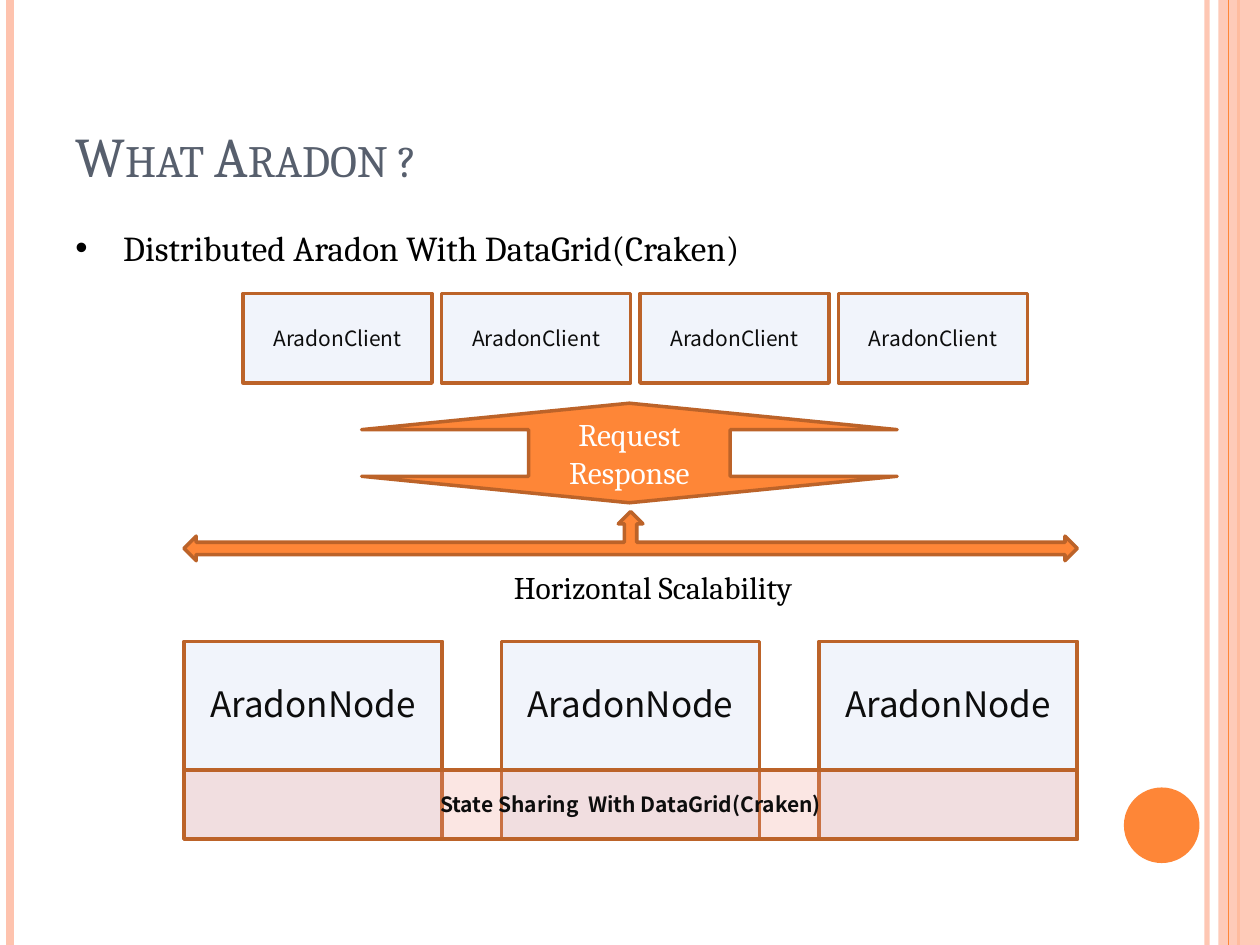
from lxml.etree import SubElement
from pptx import Presentation
from pptx.dml.color import RGBColor
from pptx.enum.shapes import MSO_CONNECTOR, MSO_SHAPE
from pptx.enum.text import MSO_ANCHOR, MSO_AUTO_SIZE, PP_ALIGN
from pptx.oxml.ns import qn
from pptx.util import Inches, Pt

ORANGE = RGBColor(0xFE, 0x86, 0x37)
PEACH = RGBColor(0xFE, 0xC3, 0xAE)
BROWN = RGBColor(0xBC, 0x63, 0x29)
PALE_BLUE = RGBColor(0xC8, 0xD6, 0xF0)
ROSE = RGBColor(0xF1, 0x9E, 0x91)
SLATE = RGBColor(0x57, 0x5F, 0x6D)
INK = RGBColor(0x0D, 0x0D, 0x0D)
BLACK = RGBColor(0, 0, 0)
WHITE = RGBColor(0xFF, 0xFF, 0xFF)

SERIF = "Cambria"
SANS = "Noto Sans CJK KR"

LEFT, SPAN = 1.46, 7.09
NODE_COUNT, NODE_WIDTH, NODE_TOP, NODE_HEIGHT = 3, 2.05, 5.09, 1.57
CLIENT_COUNT, CLIENT_LEFT, CLIENT_STEP = 4, 1.93, 1.575
SHARING_HEIGHT = 0.55
ARROW_LEFT, ARROW_TOP, ARROW_WIDTH, ARROW_HEIGHT = 2.87, 3.2, 4.25, 0.79
ARROW_HEAD, ARROW_SHAFT = 0.21, 1.6


def set_alpha(fill_parent, percent):
    color = next(fill_parent.iter(qn("a:srgbClr")))
    SubElement(color, qn("a:alpha")).set("val", str(percent * 1000))


def write_text(shape, text, name, size, color, bold=False,
               alignment=PP_ALIGN.LEFT, frame_format=None):
    frame = shape.text_frame
    values = {"word_wrap": True, "vertical_anchor": MSO_ANCHOR.TOP}
    values.update(frame_format or {})
    for attribute, value in values.items():
        setattr(frame, attribute, value)
    paragraph = frame.paragraphs[0]
    paragraph.alignment = alignment
    run = paragraph.add_run()
    run.text = text
    font_format = {"name": name, "size": Pt(size), "bold": bold}
    for attribute, value in font_format.items():
        setattr(run.font, attribute, value)
    run.font.color.rgb = color
    SubElement(run.font._element, qn("a:ea")).set("typeface", name)
    return paragraph


def add_text(slide, box, text, size, color, frame_format=None):
    shape = slide.shapes.add_textbox(*map(Inches, box))
    return write_text(shape, text, SERIF, size, color, frame_format=frame_format)


def paint(shape, fill, line=BROWN, alpha=None):
    shape.shadow.inherit = False
    shape.fill.solid()
    shape.fill.fore_color.rgb = fill
    if alpha:
        set_alpha(shape._element.spPr, alpha)
    if line is None:
        shape.line.fill.background()
    else:
        shape.line.color.rgb = line
        shape.line.width = Pt(2)


def add_block(slide, kind, box, fill, line=BROWN, alpha=None):
    shape = slide.shapes.add_shape(kind, *map(Inches, box))
    paint(shape, fill, line, alpha)
    return shape


def add_labelled_box(slide, box, text, size, fill=PALE_BLUE, bold=False, bottom=0.05):
    shape = add_block(slide, MSO_SHAPE.RECTANGLE, box, fill, alpha=25)
    frame_format = {"vertical_anchor": MSO_ANCHOR.MIDDLE, "margin_bottom": Inches(bottom)}
    write_text(shape, text, SANS, size, INK, bold, PP_ALIGN.CENTER, frame_format)


def add_stripe(slide, left, color, width, alpha=None):
    stripe = slide.shapes.add_connector(
        MSO_CONNECTOR.STRAIGHT, Inches(left), 0, Inches(left), Inches(7.5))
    stripe.line.color.rgb = color
    stripe.line.width = Pt(width)
    properties = stripe._element.spPr
    if alpha:
        set_alpha(properties, alpha)
    SubElement(properties, qn("a:effectLst"))


def add_decoration(slide):
    add_stripe(slide, 9.58, PEACH, 3, alpha=93)
    add_stripe(slide, 0.08, PEACH, 4.5)
    add_stripe(slide, 9.83, ORANGE, 1.5)
    add_block(slide, MSO_SHAPE.RECTANGLE, (9.67, 0, 0.33, 7.5), PEACH, None, alpha=87)
    add_stripe(slide, 9.75, ORANGE, 0.75)
    add_block(slide, MSO_SHAPE.OVAL, (8.92, 6.25, 0.6, 0.6), ORANGE, None)


def add_headings(slide):
    title = add_text(slide, (0.5, 0.3, 8.17, 1.25), "What Aradon ?", 32, SLATE,
                     {"vertical_anchor": MSO_ANCHOR.BOTTOM})
    title.runs[0].font._element.set("cap", "small")
    bullet = add_text(slide, (0.5, 1.75, 9, 4.95),
                      "Distributed Aradon With DataGrid(Craken)", 20, BLACK)
    bullet.space_before = Pt(4)
    properties = bullet._p.get_or_add_pPr()
    properties.set("marL", str(Inches(0.38)))
    properties.set("indent", str(Inches(-0.38)))
    SubElement(properties, qn("a:buFont")).set("typeface", "Arial")
    SubElement(properties, qn("a:buChar")).set("char", "•")


def add_nodes(slide):
    step = (SPAN - NODE_WIDTH) / (NODE_COUNT - 1)
    for index in range(NODE_COUNT):
        box = (LEFT + index * step, NODE_TOP, NODE_WIDTH, NODE_HEIGHT)
        add_labelled_box(slide, box, "AradonNode", 20, bottom=0.64)


def add_clients(slide):
    for index in range(CLIENT_COUNT):
        box = (CLIENT_LEFT + index * CLIENT_STEP, 2.33, 1.5, 0.71)
        add_labelled_box(slide, box, "AradonClient", 12)


def add_request_arrow(slide):
    side = (ARROW_WIDTH - ARROW_SHAFT) / 2
    right, bottom = ARROW_WIDTH, ARROW_HEIGHT
    head_base, tail_base = ARROW_HEAD, ARROW_HEIGHT - ARROW_HEAD
    outline = [
        (right / 2, 0), (right, head_base), (right - side, head_base),
        (right - side, tail_base), (right, tail_base), (right / 2, bottom),
        (0, tail_base), (side, tail_base), (side, head_base), (0, head_base),
    ]
    points = [(Inches(ARROW_LEFT + x), Inches(ARROW_TOP + y)) for x, y in outline]
    builder = slide.shapes.build_freeform(*points[0])
    builder.add_line_segments(points[1:], close=True)
    arrow = builder.convert_to_shape()
    paint(arrow, ORANGE)
    inset = Inches(side + 0.1)
    write_text(arrow, "Request Response", SERIF, 18, WHITE,
               alignment=PP_ALIGN.CENTER,
               frame_format={"vertical_anchor": MSO_ANCHOR.MIDDLE,
                             "margin_left": inset, "margin_right": inset})


def main():
    presentation = Presentation()
    presentation.slide_width = Inches(10)
    presentation.slide_height = Inches(7.5)
    slide = presentation.slides.add_slide(presentation.slide_layouts[6])
    add_decoration(slide)
    add_headings(slide)
    add_nodes(slide)
    add_block(slide, MSO_SHAPE.LEFT_RIGHT_UP_ARROW, (LEFT, 4.06, SPAN, 0.39), ORANGE)
    add_clients(slide)
    add_text(slide, (3.98, 4.46, 2.6, 0.4), "Horizontal Scalability", 18, BLACK,
             {"word_wrap": False, "auto_size": MSO_AUTO_SIZE.SHAPE_TO_FIT_TEXT})
    add_request_arrow(slide)
    sharing_top = NODE_TOP + NODE_HEIGHT - SHARING_HEIGHT
    add_labelled_box(slide, (LEFT, sharing_top, SPAN, SHARING_HEIGHT),
                     "State Sharing  With DataGrid(Craken)", 12, ROSE, bold=True)
    presentation.save("out.pptx")


if __name__ == "__main__":
    main()
